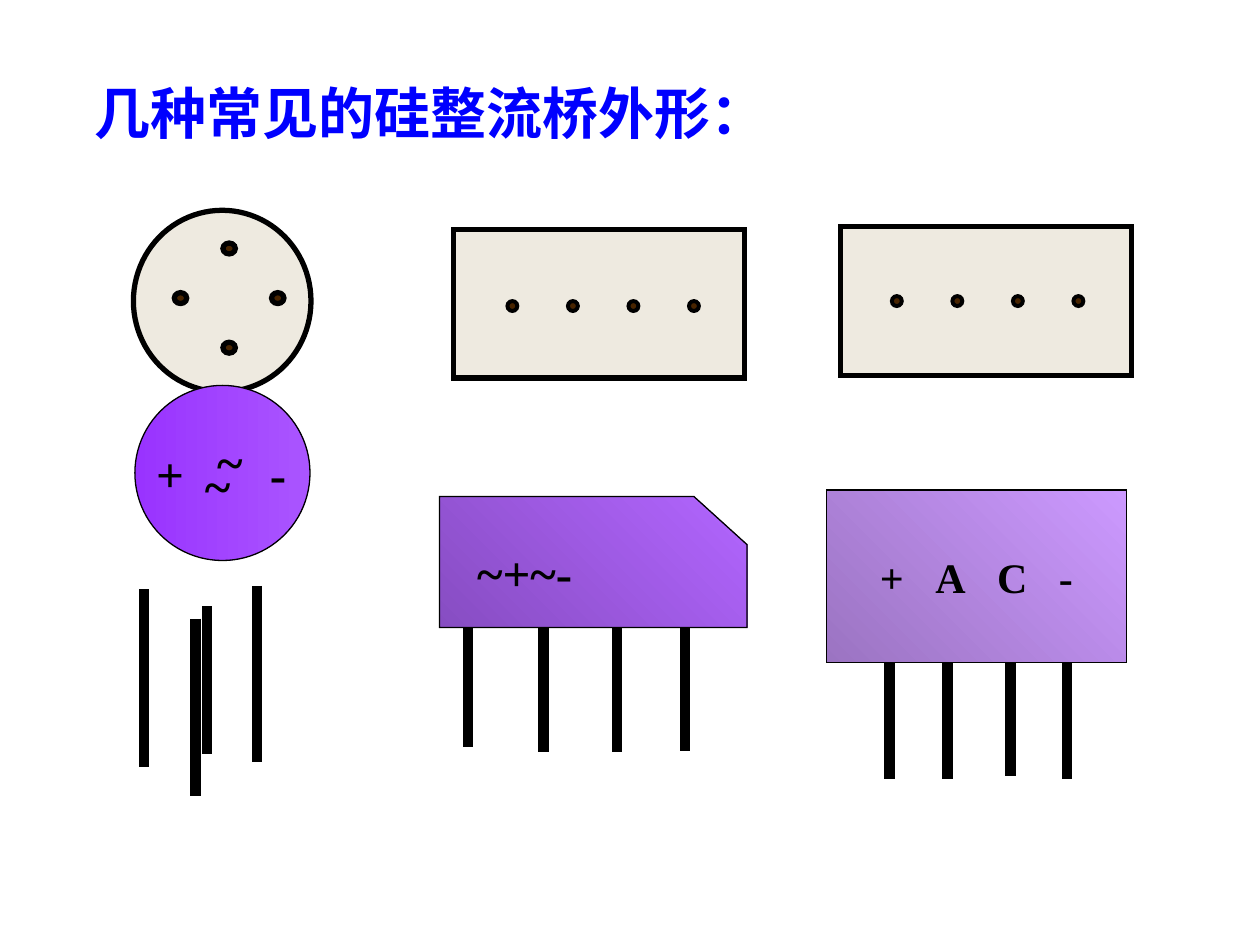
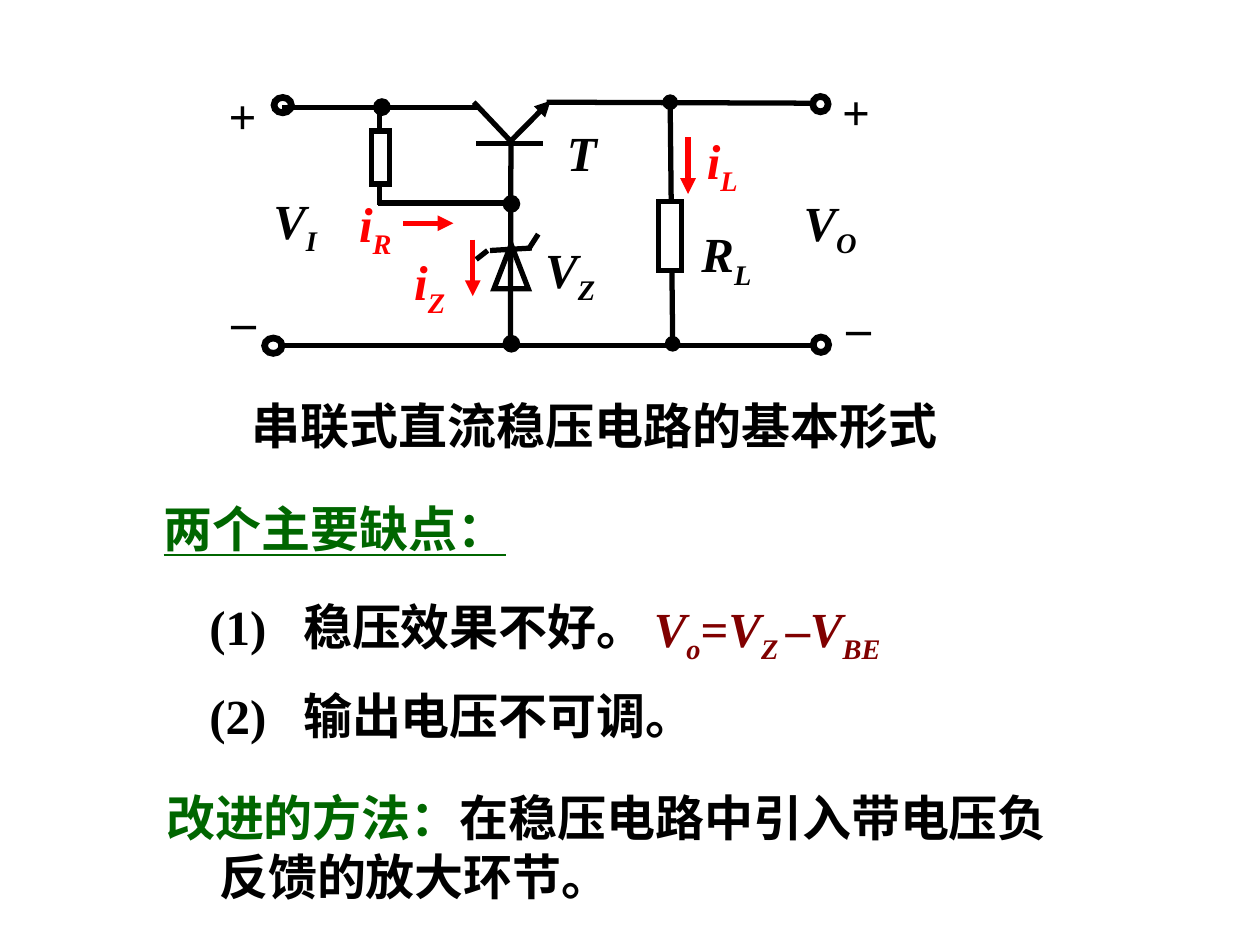
"""Two slides on silicon bridge rectifiers and a series voltage regulator."""
from dataclasses import dataclass
from typing import Any

from lxml.etree import SubElement
from pptx import Presentation
from pptx.dml.color import RGBColor
from pptx.enum.shapes import MSO_CONNECTOR, MSO_SHAPE
from pptx.enum.text import MSO_ANCHOR, PP_ALIGN
from pptx.oxml.ns import qn
from pptx.util import Cm, Pt

BLACK = RGBColor(0x00, 0x00, 0x00)
WHITE = RGBColor(0xFF, 0xFF, 0xFF)
BLUE = RGBColor(0x00, 0x00, 0xFF)
RED = RGBColor(0xFF, 0x00, 0x00)
GREEN = RGBColor(0x00, 0x66, 0x00)
MAROON = RGBColor(0x80, 0x00, 0x00)
CERAMIC = RGBColor(0xDF, 0xD6, 0xC3)
PIN_BROWN = RGBColor(0x48, 0x24, 0x00)
DISC_SHADES = RGBColor(0x99, 0x33, 0xFF), RGBColor(0xAA, 0x55, 0xFF)
CUT_SHADES = RGBColor(0x87, 0x4D, 0xC2), RGBColor(0xB2, 0x65, 0xFF)
FLAT_SHADES = RGBColor(0x9B, 0x74, 0xC2), RGBColor(0xCC, 0x99, 0xFF)
LATIN = "Times New Roman"
HEADING = "Arial"
SUB = {"baseline": -25000}
UPRIGHT = {"italic": False}


def gap(points):
    """Return a single space widened by a number of points."""
    return " ", {"spc": points * 100}


def write(paragraph, parts, color=BLACK, font=LATIN, size=28, italic=None,
          underline=None, margin=0, hanging=0):
    """Fill a paragraph with (text, style) parts sharing one font."""
    if margin:
        properties = paragraph._p.get_or_add_pPr()
        properties.set("marL", str(Cm(margin)))
        properties.set("indent", str(-Cm(hanging)))
    shared = paragraph.font
    shared.name, shared.size, shared.bold = font, Pt(size), True
    shared.italic, shared.underline = italic, underline
    shared.color.rgb = color
    for text, style in [(parts, {})] if isinstance(parts, str) else parts:
        run = paragraph.add_run()
        run.text = text
        for attribute in ("baseline", "spc"):
            if attribute in style:
                run._r.get_or_add_rPr().set(attribute, str(style[attribute]))
        if "italic" in style:
            run.font.italic = style["italic"]
        if "font" in style:
            run.font.name = style["font"]
        if "color" in style:
            run.font.color.rgb = style["color"]


def shade(shape, shades, angle):
    """Give a shape a two-colour gradient."""
    shape.fill.gradient()
    shape.fill.gradient_angle = angle
    for stop, color in zip(shape.fill.gradient_stops, shades):
        stop.color.rgb = color


def outline(shape, width):
    """Give a shape a black outline with sharp corners and no shadow."""
    shape.shadow.inherit = False
    shape.line.color.rgb = BLACK
    shape.line.width = Pt(width)
    SubElement(shape.line._get_or_add_ln(), qn("a:miter"), lim="800000")


@dataclass
class Panel:
    """A region of a slide; lengths inside it are centimetres from its corner."""
    slide: Any
    left: float
    top: float

    def place(self, x, y):
        """Turn a point of the panel into a point of the slide."""
        return Cm(self.left + x), Cm(self.top + y)

    def shape(self, preset, x, y, width, height, fill=None, line=3):
        """Add an outlined preset shape."""
        shape = self.slide.shapes.add_shape(
            preset, *self.place(x, y), Cm(width), Cm(height))
        outline(shape, line)
        if fill is None:
            shape.fill.background()
        else:
            shape.fill.solid()
            shape.fill.fore_color.rgb = fill
        return shape

    def centred(self, preset, x, y, width, height, **look):
        """Add a shape around a centre point."""
        return self.shape(preset, x - width / 2, y - height / 2, width, height, **look)

    def line(self, start, end, color=BLACK, width=3, head=None, tail=None):
        """Add a straight line, with optional end marks."""
        line = self.slide.shapes.add_connector(
            MSO_CONNECTOR.STRAIGHT, *self.place(*start), *self.place(*end))
        line.line.color.rgb = color
        line.line.width = Pt(width)
        for tag, mark in (("a:headEnd", head), ("a:tailEnd", tail)):
            if mark:
                SubElement(line.line._get_or_add_ln(), qn(tag), type=mark)
        SubElement(line._element.spPr, qn("a:effectLst"))

    def frame(self, x, y, width, height, anchor=MSO_ANCHOR.TOP):
        """Add an empty text box and return its text frame."""
        frame = self.slide.shapes.add_textbox(
            *self.place(x, y), Cm(width), Cm(height)).text_frame
        frame.word_wrap = True
        frame.vertical_anchor = anchor
        return frame

    def text(self, x, y, width, height, parts, **style):
        """Add a one-paragraph text box."""
        write(self.frame(x, y, width, height).paragraphs[0], parts, **style)

    def leads(self, spans):
        """Draw thick vertical leads from (x, top, bottom) triples."""
        for x, top, bottom in spans:
            self.line((x, top), (x, bottom), width=6)

    def ceramic(self, preset, width, height):
        """Draw the half-transparent underside of a package."""
        base = self.shape(preset, 0, 0, width, height, fill=CERAMIC)
        tint = base.fill._xPr.find(qn("a:solidFill"))[0]
        SubElement(tint, qn("a:alpha"), val="50000")


def round_underside(panel):
    """Round package seen from below, with four pins in a cross."""
    panel.ceramic(MSO_SHAPE.OVAL, 3.58, 3.66)
    for across, down in ((0, -1), (1, 0), (-1, 0), (0, 1)):
        panel.centred(MSO_SHAPE.OVAL, 1.93 + 0.98 * across, 1.77 + down,
                      0.25, 0.22, fill=PIN_BROWN)


def row_underside(panel, first_pin, pin_height):
    """Rectangular package seen from below, with four pins in a row."""
    panel.ceramic(MSO_SHAPE.RECTANGLE, 5.87, 3)
    for index in range(4):
        panel.centred(MSO_SHAPE.OVAL, first_pin + 1.22 * index, pin_height,
                      0.2, 0.2, fill=PIN_BROWN, line=2.25)


def disc_package(panel):
    """Round package with its polarity marks and leads."""
    panel.leads([(2.46, 4.04, 7.59), (1.45, 4.45, 7.42),
                 (0.18, 4.11, 7.7), (1.22, 4.7, 8.28)])
    shade(panel.shape(MSO_SHAPE.OVAL, 0, 0, 3.53, 3.53, line=0.75), DISC_SHADES, 0)
    marks = panel.frame(0.18, 1.6, 3.56, 0.97, anchor=MSO_ANCHOR.MIDDLE)
    rows = (("~", 1.23), ([("+", {}), gap(42), ("-", {})], 0), ("~", 0.98))
    for index, (mark, margin) in enumerate(rows):
        paragraph = marks.add_paragraph() if index else marks.paragraphs[0]
        paragraph.line_spacing = 0.2
        write(paragraph, mark, margin=margin)


def cut_corner_package(panel):
    """Package with one cut corner and four leads."""
    panel.leads([(0.57, 1.5, 5.05), (2.1, 1.5, 5.15),
                 (3.58, 1.5, 5.15), (4.95, 1.5, 5.13)])
    corners = [(5.13, 0), (6.2, 0.97), (6.2, 2.64), (0, 2.64)]
    builder = panel.slide.shapes.build_freeform(*panel.place(0, 0))
    builder.add_line_segments([panel.place(*corner) for corner in corners])
    body = builder.convert_to_shape()
    outline(body, 0.75)
    shade(body, CUT_SHADES, 45)
    marks = panel.frame(0.51, 0.79, 5.36, 1.45, anchor=MSO_ANCHOR.MIDDLE)
    write(marks.paragraphs[0], "~+~-")


def flat_package(panel):
    """Rectangular package with four leads."""
    panel.leads([(1.27, 3.33, 5.82), (2.44, 3.33, 5.82),
                 (3.71, 3.33, 5.77), (4.85, 3.33, 5.82)])
    body = panel.shape(MSO_SHAPE.RECTANGLE, 0, 0, 6.05, 3.48, line=0.75)
    shade(body, FLAT_SHADES, 45)
    marks = body.text_frame
    marks.vertical_anchor = MSO_ANCHOR.MIDDLE
    marks.paragraphs[0].alignment = PP_ALIGN.CENTER
    write(marks.paragraphs[0], [("+", {}), gap(12), ("A", {}), gap(12),
                                ("C", {}), gap(12), ("-", {})], size=24)


def packages_slide(slide):
    """Slide with the common package outlines."""
    Panel(slide, 1.65, 1.45).text(0, 0, 16, 1.63, "几种常见的硅整流桥外形：",
                                  color=BLUE, font=HEADING, size=32)
    round_underside(Panel(slide, 2.69, 4.24))
    row_underside(Panel(slide, 9.14, 4.62), 1.19, 1.55)
    row_underside(Panel(slide, 16.94, 4.57), 1.14, 1.5)
    disc_package(Panel(slide, 2.72, 7.77))
    cut_corner_package(Panel(slide, 8.86, 10.01))
    flat_package(Panel(slide, 16.66, 9.88))


def circuit(panel):
    """Circuit diagram of the series regulator with its caption."""
    top_left = (5.63, 0.66), (1.69, 0.66)
    top_right = (7.02, 0.56), (12.33, 0.58)
    bottom = (1.61, 5.46), (12.38, 5.46)
    collector = (5.55, 0.56), (6.29, 1.34)
    base_plate = (5.6, 1.4), (6.95, 1.4)
    base_wire = (6.3, 1.34), (6.29, 5.46)
    bias_wire = (3.65, 0.58), (3.65, 2.64)
    bias_return = (3.62, 2.59), (6.34, 2.59)
    zener_bar = (5.88, 3.55), (6.72, 3.5)
    zener_right = (6.67, 3.5), (6.85, 3.22)
    zener_left = (5.83, 3.55), (5.6, 3.73)
    for wire in (top_left, top_right, bottom, collector, base_plate, base_wire,
                 bias_wire, bias_return, zener_bar, zener_right, zener_left):
        panel.line(*wire)
    panel.line((6.24, 1.4), (7.1, 0.53), tail="triangle")
    panel.line((9.51, 0.56), (9.56, 5.43), head="oval", tail="oval")

    panel.shape(MSO_SHAPE.RECTANGLE, 3.49, 1.14, 0.36, 1.07, fill=WHITE)
    panel.shape(MSO_SHAPE.RECTANGLE, 9.28, 2.56, 0.46, 1.4, fill=WHITE)
    panel.shape(MSO_SHAPE.ISOSCELES_TRIANGLE, 5.96, 3.43, 0.69, 0.89)
    for x, y in ((3.7, 0.66), (6.31, 2.61), (6.31, 5.43)):
        panel.centred(MSO_SHAPE.OVAL, x, y, 0.25, 0.25, fill=BLACK)
    for x, y, width in ((1.7, 0.62, 0.38), (1.51, 5.47, 0.38),
                        (12.54, 0.6, 0.34), (12.55, 5.45, 0.34)):
        terminal = panel.centred(MSO_SHAPE.DONUT, x, y, width, 0.34)
        terminal.adjustments[0] = 0.09

    for start, end in (((4.13, 3), (5.14, 3)), ((5.53, 3.33), (5.53, 4.47)),
                       ((9.87, 1.27), (9.87, 2.41))):
        panel.line(start, end, color=RED, tail="triangle")
    for x, y, symbol, index, color in (
            (1.26, 2.21, "V", "I", BLACK), (11.95, 2.26, "V", "O", BLACK),
            (6.74, 3.2, "V", "Z", BLACK), (9.89, 2.89, "R", "L", BLACK),
            (2.99, 2.28, "i", "R", RED), (4.1, 3.45, "i", "Z", RED),
            (10, 1.01, "i", "L", RED)):
        panel.text(x, y, 2.2, 1.6, [(symbol, {}), (index, SUB)],
                   color=color, italic=True)
    panel.text(7.18, 0.84, 1.5, 1.45, "T", italic=True)
    for x, y, sign in ((0.04, 0.1, "+"), (0.06, 4.22, "–"),
                       (12.41, 0.02, "+"), (12.46, 4.34, "–")):
        frame = panel.frame(x, y, 1.7, 1.45, anchor=MSO_ANCHOR.MIDDLE)
        frame.paragraphs[0].alignment = PP_ALIGN.CENTER
        write(frame.paragraphs[0], sign)
    panel.text(0.83, 6.35, 16, 1.45, "串联式直流稳压电路的基本形式", font=HEADING)


def drawbacks(panel):
    """Drawbacks of the circuit and the way to improve it."""
    panel.text(0, 0, 9.98, 1.45, "两个主要缺点：",
               color=GREEN, font=HEADING, underline=True)
    for y, number, drawback in ((1.98, "(1)", "稳压效果不好。"),
                                (3.76, "(2)", "输出电压不可调。")):
        panel.text(0.92, y, 13.39, 1.45,
                   [(number, {}), gap(14), (drawback, {"font": HEADING})])
    panel.text(9.88, 2.01, 6, 1.6,
               [("V", {}), ("o", SUB), ("=", UPRIGHT), ("V", {}), ("Z ", SUB),
                ("–", UPRIGHT), ("V", {}), ("BE", SUB)],
               color=MAROON, italic=True)
    panel.text(0.05, 5.82, 18.44, 2.64,
               [("改进的方法：", {"color": GREEN}),
                ("在稳压电路中引入带电压负反馈的放大环节。", {})],
               font=HEADING, margin=1.07, hanging=1.07)


def regulator_slide(slide):
    """Slide with the regulator circuit above its drawbacks."""
    circuit(Panel(slide, 4, 1.5))
    drawbacks(Panel(slide, 3.05, 9.93))


def main():
    """Build and save the presentation."""
    deck = Presentation()
    deck.slide_width, deck.slide_height = Cm(25.4), Cm(19.05)
    for build in (packages_slide, regulator_slide):
        build(deck.slides.add_slide(deck.slide_layouts[6]))
    deck.save("out.pptx")


if __name__ == "__main__":
    main()
